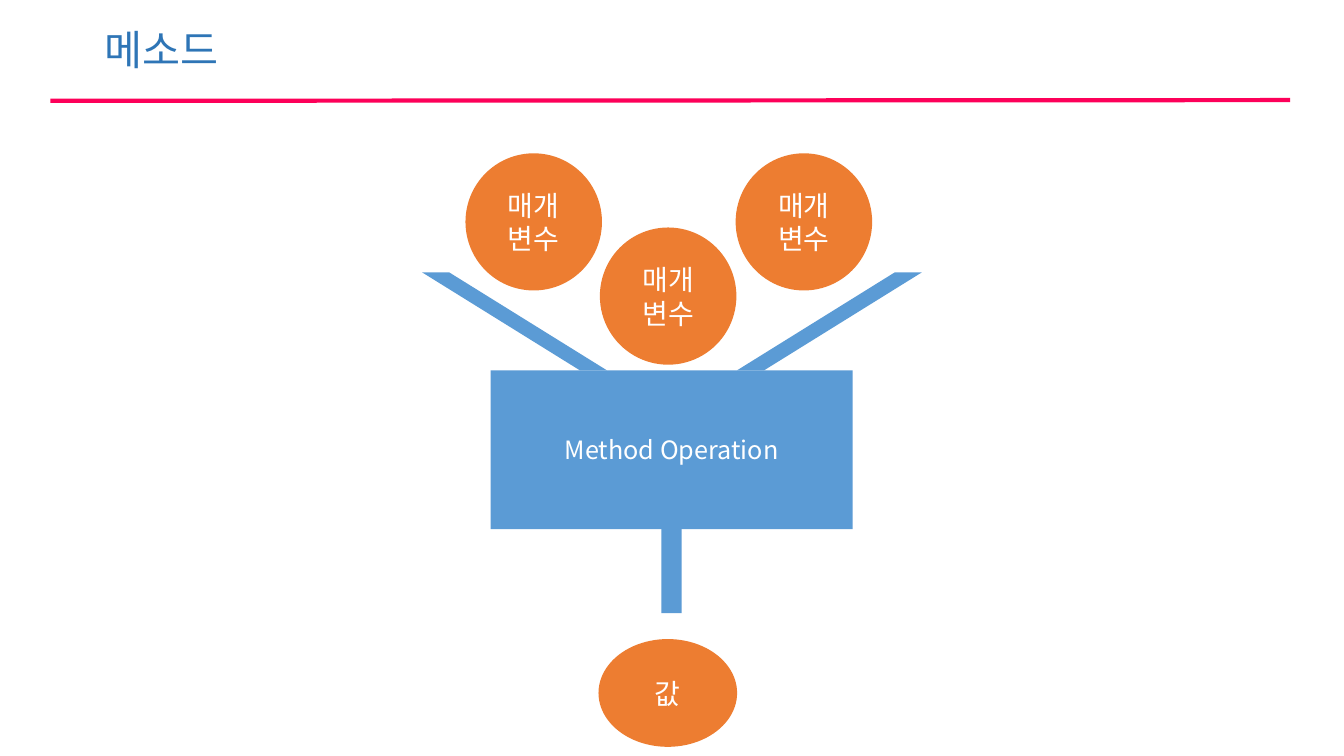
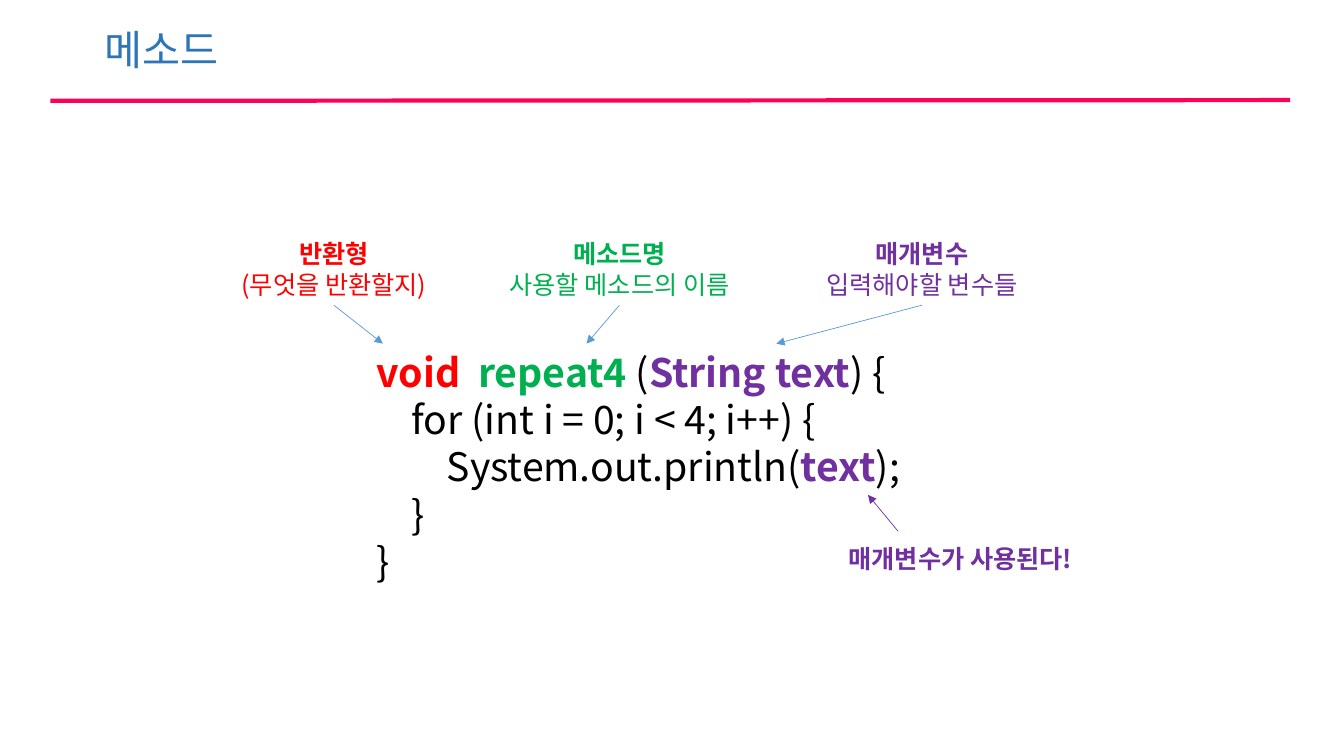
import pptx
import pptx.util
import pptx.dml.color
import pptx.enum.shapes
import pptx.enum.text
import pptx.oxml.ns
import lxml.etree

Pt = pptx.util.Pt
Kind = pptx.enum.shapes.MSO_SHAPE
Align = pptx.enum.text.PP_ALIGN
Anchor = pptx.enum.text.MSO_ANCHOR

FONT = "Noto Sans CJK KR"
HEX = {
    "rule": "FD0059", "title": "2E75B6", "blue": "5B9BD5", "orange": "ED7D31",
    "white": "FFFFFF", "black": "000000", "red": "FF0000", "green": "00B050",
    "purple": "7030A0",
}
TITLE = "메소드"

BALLS = [
    ("매개변수", 332.5, 109.5, 97.5, 98),
    ("매개변수", 428.5, 162.5, 97.5, 98),
    ("매개변수", 525.5, 109.5, 97.5, 98),
    ("값", 427.5, 456.5, 99, 77),
]
BODY = (350.5, 264.5, 258.5, 113.5)
PIPE = (472.5, 369.5, 14.5, 68.5)
ARM = (132, 70)

CODE = [
    (0, [("void  ", "red", True), ("repeat4 ", "green", True), ("(",),
         ("String text", "purple", True), (") {",)]),
    (1, [("for (int i = 0; i < 4; i++) {",)]),
    (2, [("System.out.println(",), ("text", "purple", True), (");",)]),
    (1, [("}",)]),
    (0, [("}",)]),
]
STEP = 25
LABELS = [
    ("반환형", "(무엇을 반환할지)", "red", 238.5, 273.5),
    ("메소드명", "사용할 메소드의 이름", "green", 442.5, 419),
    ("매개변수", "입력해야할 변수들", "purple", 658.5, 554.5),
]
USE = "매개변수가 사용된다!"


def tint(name):
    return pptx.dml.color.RGBColor.from_string(HEX[name])


def write(frame, lines, size=18, color="black", align=Align.LEFT,
          anchor=Anchor.TOP, wrap=True):
    frame.word_wrap = wrap
    frame.auto_size = pptx.enum.text.MSO_AUTO_SIZE.NONE
    frame.vertical_anchor = anchor
    for i, (depth, runs) in enumerate(lines):
        para = frame.paragraphs[0] if i == 0 else frame.add_paragraph()
        para.alignment = align
        if depth:
            para._p.get_or_add_pPr().set("marL", str(Pt(depth * STEP)))
        for text, *style in runs:
            hue, bold = style or (color, False)
            run = para.add_run()
            run.text = text
            font = run.font
            font.name, font.size, font.bold = FONT, Pt(size), bold
            font.color.rgb = tint(hue)
            east = lxml.etree.SubElement(font._element, pptx.oxml.ns.qn("a:ea"))
            east.set("typeface", FONT)


def place(slide, kind, box, color):
    shape = slide.shapes.add_shape(kind, *map(Pt, box))
    shape.shadow.inherit = False
    shape.fill.solid()
    shape.fill.fore_color.rgb = tint(color)
    shape.line.fill.background()
    return shape


def note(slide, box, lines, **style):
    frame = slide.shapes.add_textbox(*map(Pt, box)).text_frame
    write(frame, lines, **style)


def draw(slide, start, end, color, width, arrow=False):
    line = slide.shapes.add_connector(
        pptx.enum.shapes.MSO_CONNECTOR.STRAIGHT, *map(Pt, start + end))
    line.line.color.rgb = tint(color)
    line.line.width = Pt(width)
    if arrow:
        tail = lxml.etree.SubElement(
            line.line._get_or_add_ln(), pptx.oxml.ns.qn("a:tailEnd"))
        tail.set("type", "triangle")
    lxml.etree.SubElement(line._element.spPr, pptx.oxml.ns.qn("a:effectLst"))


def start(deck):
    slide = deck.slides.add_slide(deck.slide_layouts[5])
    draw(slide, (36, 72), (921.5, 71.5), "rule", 3)
    head = slide.shapes.title
    head.left, head.top, head.width, head.height = map(Pt, (67.5, 13.5, 646, 43))
    write(head.text_frame, [(0, [(TITLE,)])], size=29.5, color="title")
    return slide


def funnel(deck):
    slide = start(deck)
    wide, high = ARM
    for left, flip in ((526.5, False), (301.5, True)):
        arm = place(slide, Kind.PARALLELOGRAM, (left, 194.5, wide, high), "blue")
        arm.adjustments[0] = 1.61
        if flip:
            arm._element.spPr.xfrm.set("flipH", "1")
    body = place(slide, Kind.RECTANGLE, BODY, "blue")
    mid = dict(color="white", align=Align.CENTER, anchor=Anchor.MIDDLE)
    write(body.text_frame, [(0, [("Method Operation",)])], **mid)
    place(slide, Kind.RECTANGLE, PIPE, "blue")
    for text, *box in BALLS:
        ball = place(slide, Kind.OVAL, box, "orange")
        write(ball.text_frame, [(0, [(text,)])], size=20, **mid)


def syntax(deck):
    slide = start(deck)
    note(slide, (262, 245.5, 397, 177), CODE, size=28, wrap=False)
    wide = 263
    for name, text, hue, mid, tip in LABELS:
        lines = [(0, [(name, hue, True)]), (0, [(text, hue, False)])]
        note(slide, (mid - wide / 2, 167, wide, 51), lines, align=Align.CENTER)
        draw(slide, (mid, 218), (tip, 245.5), "blue", 0.5, arrow=True)
    note(slide, (554.5, 384.5, wide, 29), [(0, [(USE, "purple", True)])],
         align=Align.CENTER)
    draw(slide, (641.5, 379.5), (620, 353.5), "purple", 0.5, arrow=True)


def main():
    deck = pptx.Presentation()
    deck.slide_width, deck.slide_height = Pt(960), Pt(540)
    funnel(deck)
    syntax(deck)
    deck.save("out.pptx")


if __name__ == "__main__":
    main()
